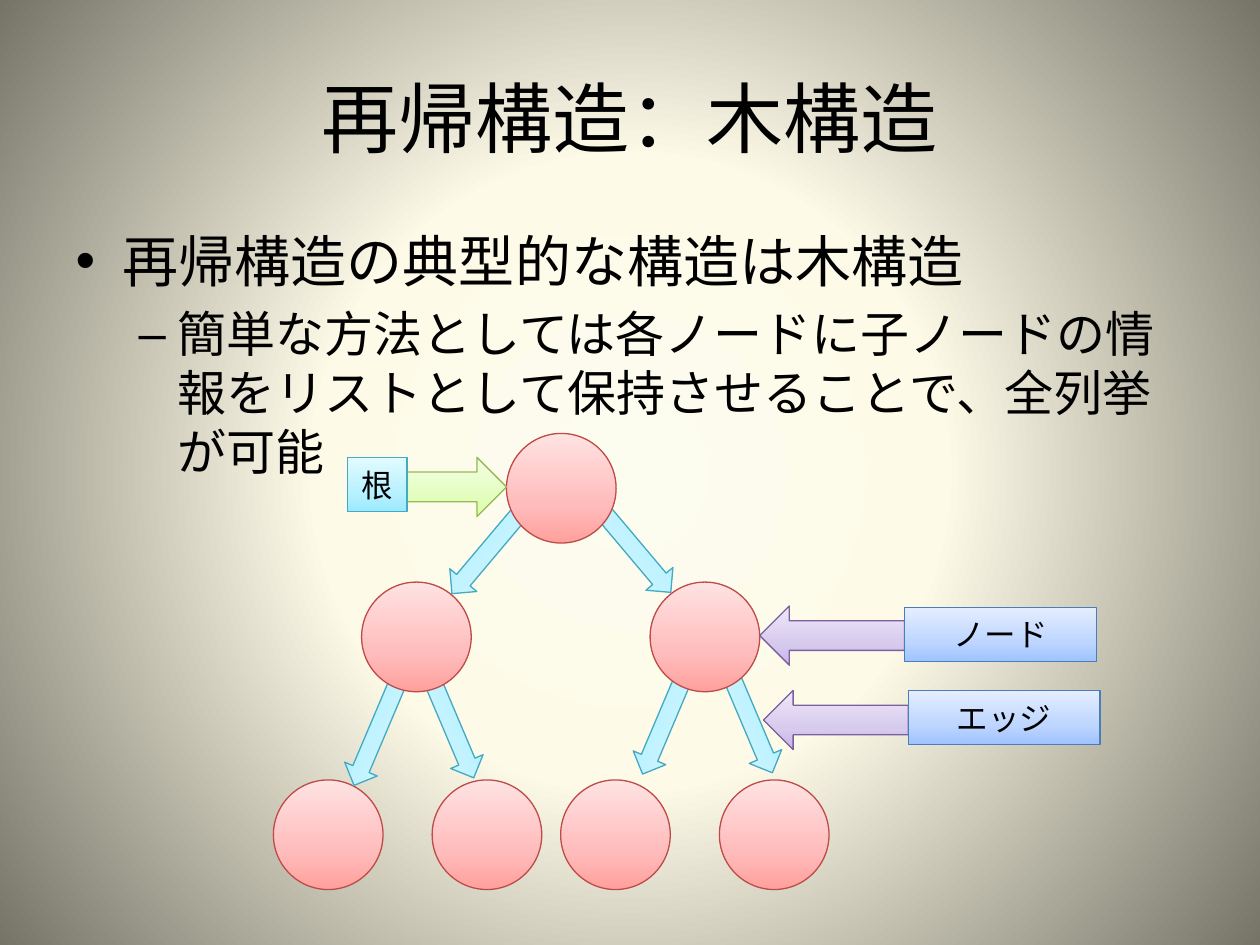
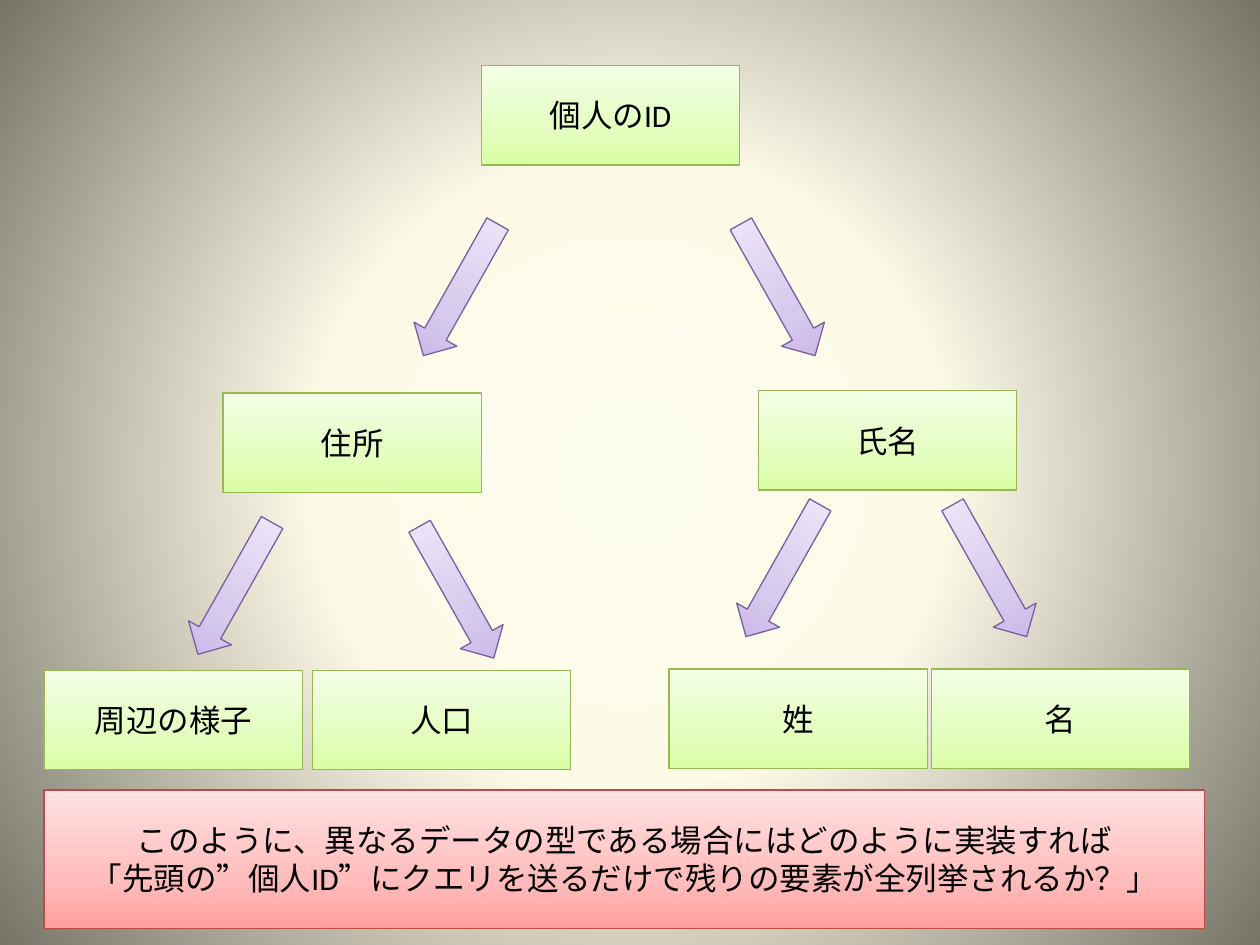
from dataclasses import dataclass

from pptx import Presentation
from pptx.dml.color import RGBColor
from pptx.enum.shapes import MSO_SHAPE as Preset
from pptx.enum.text import MSO_ANCHOR as Anchor, PP_ALIGN as Align
from pptx.oxml import parse_xml
from pptx.oxml.ns import nsdecls, qn
from pptx.util import Inches, Pt

FONT = "Calibri"
TEXT_SIZE = 18
COLORS = {
    "text": "000000",
    "red_line": "BD4B48",
    "cyan_line": "45A9C4",
    "green_line": "97B853",
    "purple_line": "7C5F9F",
    "blue_line": "4A7DBA",
}
GRADIENTS = {
    "background": ((0, "FCFCEF"), (40, "FDFAE8"), (100, "767467")),
    "red": ((0, "FFA09D"), (35, "FFBCBC"), (100, "FFE2E2")),
    "cyan": ((0, "9BE9FF"), (35, "B8F1FF"), (100, "E2FBFF")),
    "green": ((0, "DAFEA4"), (35, "E3FEBF"), (100, "F4FEE6")),
    "purple": ((0, "C8B2E9"), (35, "D6CAED"), (100, "EFE8FA")),
    "blue": ((0, "9FC3FF"), (35, "BDD5FF"), (100, "E4EEFF")),
}
UPWARD = '<a:lin ang="16200000" scaled="0"/>'
FROM_CENTER = (
    '<a:path path="circle">'
    '<a:fillToRect l="50000" t="50000" r="50000" b="50000"/></a:path>'
)

NODE_SIZE = 0.87
EDGE_LENGTH, EDGE_WIDTH = 1.05, 0.28
BOX_WIDTH, BOX_HEIGHT = 2.05, 0.79
BRANCH_WIDTH, BRANCH_LENGTH = 0.39, 1.2
BRANCH_TILT = 29.4


@dataclass(frozen=True)
class Block:
    preset: Preset
    left: float
    top: float
    width: float
    height: float
    style: str
    lines: tuple[str, ...] = ()
    rotation: float = 0
    flipped: bool = False


def node(left: float, top: float) -> Block:
    return Block(Preset.OVAL, left, top, NODE_SIZE, NODE_SIZE, "red")


def edge(left: float, top: float, angle: float, to_right: bool) -> Block:
    rotation = 360 - angle if to_right else angle
    return Block(Preset.RIGHT_ARROW, left, top, EDGE_LENGTH, EDGE_WIDTH,
                 "cyan", rotation=rotation, flipped=to_right)


def label(left: float, top: float, width: float, style: str, text: str) -> Block:
    return Block(Preset.RECTANGLE, left, top, width, 0.43, style, (text,))


def pointer(left: float, top: float, width: float, style: str,
            flipped: bool) -> Block:
    return Block(Preset.RIGHT_ARROW, left, top, width, 0.47, style,
                 flipped=flipped)


def data_box(left: float, top: float, text: str) -> Block:
    return Block(Preset.RECTANGLE, left, top, BOX_WIDTH, BOX_HEIGHT,
                 "green", (text,))


def branch(left: float, top: float, to_right: bool) -> Block:
    rotation = 360 - BRANCH_TILT if to_right else BRANCH_TILT
    return Block(Preset.DOWN_ARROW, left, top, BRANCH_WIDTH, BRANCH_LENGTH,
                 "purple", rotation=rotation, flipped=to_right)


LEAVES = [node(pair + step, 6.19) for pair in (2.17, 4.45) for step in (0, 1.26)]
EDGES = [
    edge(3.4, 4.17, 130.1, False),
    edge(4.46, 4.16, 130.1, True),
    edge(5.4, 5.51, 113, True),
    edge(2.49, 5.61, 113, False),
    edge(4.78, 5.52, 113, False),
    edge(3.03, 5.55, 113, True),
]
PARENTS = [node(5.16, 4.62), node(2.87, 4.62), node(4.02, 3.44)]
CALLOUTS = [
    pointer(3.23, 3.63, 0.79, "green", False),
    label(2.76, 3.63, 0.47, "cyan", "根"),
    pointer(6.03, 4.81, 1.15, "purple", True),
    label(7.18, 4.82, 1.52, "blue", "ノード"),
    pointer(6.06, 5.48, 1.15, "purple", True),
    label(7.21, 5.48, 1.52, "blue", "エッジ"),
]
DATA_BOXES = [
    data_box(3.82, 0.52, "個人のID"),
    data_box(1.77, 3.12, "住所"),
    data_box(6.02, 3.1, "氏名"),
    data_box(0.35, 5.32, "周辺の様子"),
    data_box(2.48, 5.32, "人口"),
    data_box(5.31, 5.31, "姓"),
    data_box(7.39, 5.31, "名"),
]
BRANCHES = [
    branch(3.46, 1.7, False),
    branch(1.67, 4.07, False),
    branch(7.66, 3.93, True),
    branch(5.98, 1.7, True),
    branch(3.43, 4.1, True),
    branch(6.02, 3.93, False),
]
QUESTION = Block(
    Preset.RECTANGLE, 0.35, 6.27, 9.21, 1.1, "red",
    ("このように、異なるデータの型である場合にはどのように実装すれば",
     "「先頭の”個人ID”にクエリを送るだけで残りの要素が全列挙されるか？」"),
)


def fill_gradient(fill, properties, name: str, direction: str) -> None:
    fill.solid()
    stops = "".join(
        f'<a:gs pos="{position * 1000}"><a:srgbClr val="{color}"/></a:gs>'
        for position, color in GRADIENTS[name]
    )
    gradient = parse_xml(
        f'<a:gradFill {nsdecls("a")} rotWithShape="1">'
        f"<a:gsLst>{stops}</a:gsLst>{direction}</a:gradFill>"
    )
    properties.replace(properties.find(qn("a:solidFill")), gradient)


def add_text(paragraph, text: str, size: float) -> None:
    run = paragraph.add_run()
    run.text = text
    run.font.name = FONT
    run.font.size = Pt(size)
    run.font.color.rgb = RGBColor.from_string(COLORS["text"])


def place(shape, left: float, top: float, width: float, height: float) -> None:
    shape.left, shape.top = Inches(left), Inches(top)
    shape.width, shape.height = Inches(width), Inches(height)


def draw_block(slide, block: Block) -> None:
    shape = slide.shapes.add_shape(
        block.preset, Inches(block.left), Inches(block.top),
        Inches(block.width), Inches(block.height))
    shape.shadow.inherit = False
    shape.rotation = block.rotation
    properties = shape.element.spPr
    if block.flipped:
        properties.find(qn("a:xfrm")).set("flipH", "1")
    fill_gradient(shape.fill, properties, block.style, UPWARD)
    shape.line.color.rgb = RGBColor.from_string(COLORS[f"{block.style}_line"])
    shape.line.width = Pt(0.75)
    frame = shape.text_frame
    frame.word_wrap = True
    frame.vertical_anchor = Anchor.MIDDLE
    for index, line in enumerate(block.lines):
        paragraph = frame.add_paragraph() if index else frame.paragraphs[0]
        paragraph.alignment = Align.CENTER
        add_text(paragraph, line, TEXT_SIZE)


def draw_blocks(slide, blocks: list[Block]) -> None:
    for block in blocks:
        draw_block(slide, block)


def set_background(master) -> None:
    fill = master.background.fill
    fill.solid()
    properties = master.element.find(".//" + qn("p:bgPr"))
    fill_gradient(fill, properties, "background", FROM_CENTER)


def add_tree_slide(presentation) -> None:
    slide = presentation.slides.add_slide(presentation.slide_layouts[1])
    title, body = slide.shapes.title, slide.placeholders[1]
    place(title, 0.5, 0.3, 9, 1.25)
    title.text_frame.vertical_anchor = Anchor.MIDDLE
    heading = title.text_frame.paragraphs[0]
    heading.alignment = Align.CENTER
    add_text(heading, "再帰構造：木構造", 44)

    place(body, 0.5, 1.75, 9, 4.95)
    add_text(body.text_frame.paragraphs[0], "再帰構造の典型的な構造は木構造", 32)
    detail = body.text_frame.add_paragraph()
    detail.level = 1
    detail.space_before = Pt(5.6)
    add_text(detail, "簡単な方法としては各ノードに子ノードの情報をリストとして"
                     "保持させることで、全列挙が可能", 28)
    draw_blocks(slide, LEAVES + EDGES + PARENTS + CALLOUTS)


def add_data_slide(presentation) -> None:
    slide = presentation.slides.add_slide(presentation.slide_layouts[6])
    draw_blocks(slide, DATA_BOXES + BRANCHES + [QUESTION])


def main() -> None:
    presentation = Presentation()
    presentation.slide_width, presentation.slide_height = Inches(10), Inches(7.5)
    set_background(presentation.slide_master)
    add_tree_slide(presentation)
    add_data_slide(presentation)
    presentation.save("out.pptx")


if __name__ == "__main__":
    main()
